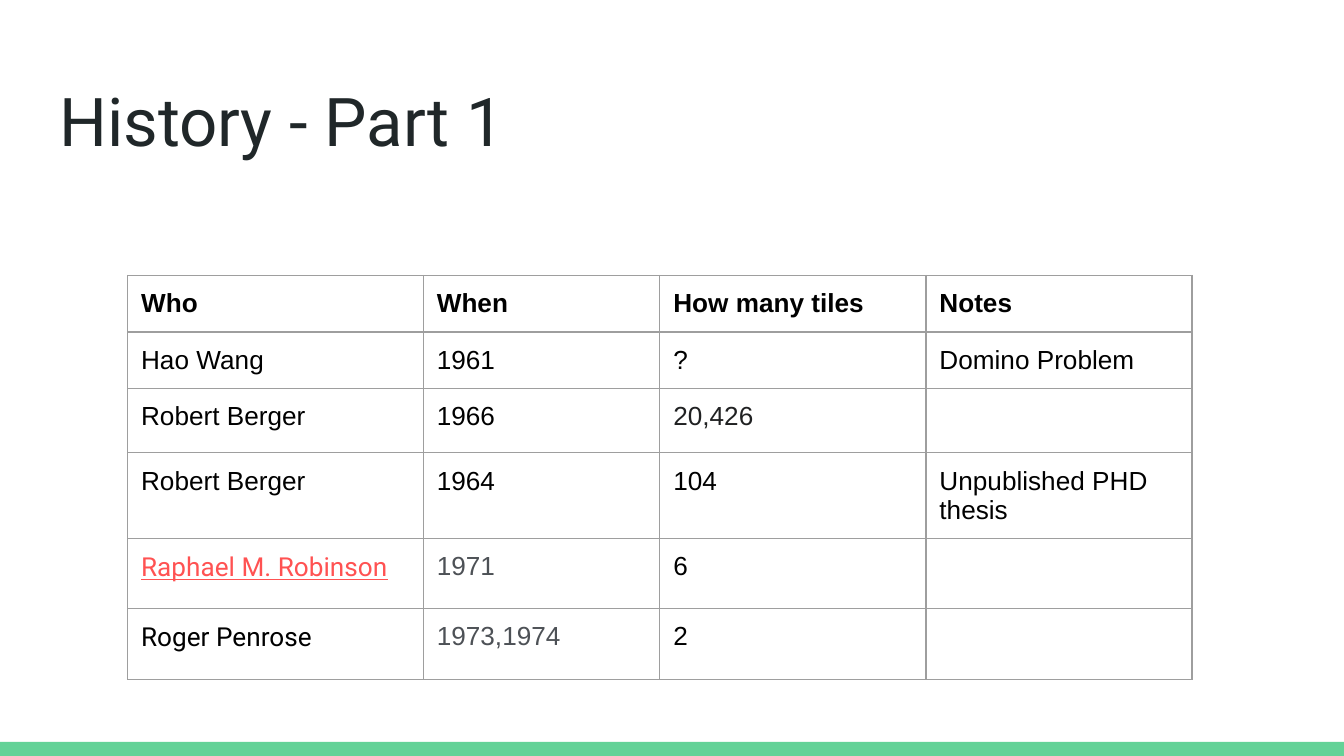
from dataclasses import dataclass

from pptx import Presentation
from pptx.dml.color import RGBColor
from pptx.enum.shapes import MSO_SHAPE
from pptx.enum.text import MSO_ANCHOR, MSO_AUTO_SIZE, PP_ALIGN
from pptx.oxml import parse_xml
from pptx.oxml.ns import nsdecls
from pptx.util import Inches, Pt


@dataclass(frozen=True)
class Theme:
    heading_font: str = "Roboto"
    body_font: str = "Arial"
    title_size: int = 36
    table_size: int = 14
    border_width: float = 0.75
    background: str = "FFFFFF"
    title: str = "202729"
    text: str = "000000"
    number: str = "202122"
    muted: str = "4D5156"
    link: str = "FF5252"
    border: str = "9E9E9E"
    accent: str = "63D297"


THEME = Theme()
COLUMN_WIDTHS = [2.2, 1.76, 1.98, 1.98]
ROW_HEIGHTS = [0.42, 0.42, 0.48, 0.64, 0.52, 0.53]
HISTORY = [
    ["Who", "When", "How many tiles", "Notes"],
    ["Hao Wang", "1961", "?", "Domino Problem"],
    ["Robert Berger", "1966", "20,426", ""],
    ["Robert Berger", "1964", "104", "Unpublished PHD thesis"],
    ["Raphael M. Robinson", "1971", "6", ""],
    ["Roger Penrose", "1973,1974", "2", ""],
]
CELL_COLORS = {
    "20,426": THEME.number,
    "Raphael M. Robinson": THEME.link,
    "1971": THEME.muted,
    "1973,1974": THEME.muted,
}
HEADING_FONT_NAMES = {"Raphael M. Robinson", "Roger Penrose"}


def style_font(font, name, size, color, bold=False, underline=False):
    font.name = name
    font.size = Pt(size)
    font.color.rgb = RGBColor.from_string(color)
    font.bold = bold
    font.underline = underline


def set_margins(holder):
    holder.margin_left = holder.margin_right = Inches(0.1)
    holder.margin_top = holder.margin_bottom = Inches(0.1)
    holder.vertical_anchor = MSO_ANCHOR.TOP


def add_title(slide, text, left, top, width, height):
    title = slide.shapes.title
    title.left, title.top = Inches(left), Inches(top)
    title.width, title.height = Inches(width), Inches(height)
    frame = title.text_frame
    frame.text = text
    frame.word_wrap = True
    frame.auto_size = MSO_AUTO_SIZE.NONE
    set_margins(frame)
    paragraph = frame.paragraphs[0]
    paragraph.alignment = PP_ALIGN.LEFT
    paragraph.line_spacing = 1.0
    style_font(paragraph.runs[0].font, THEME.heading_font, THEME.title_size, THEME.title)


def add_borders(cell):
    properties = cell._tc.get_or_add_tcPr()
    for position, side in enumerate(("lnL", "lnR", "lnT", "lnB")):
        border = parse_xml(
            f'<a:{side} {nsdecls("a")} w="{Pt(THEME.border_width)}"><a:solidFill>'
            f'<a:srgbClr val="{THEME.border}"/></a:solidFill></a:{side}>'
        )
        properties.insert(position, border)


def fill_cell(cell, text, is_header):
    cell.fill.solid()
    cell.fill.fore_color.rgb = RGBColor.from_string(THEME.background)
    set_margins(cell)
    add_borders(cell)
    cell.text_frame.text = text
    paragraph = cell.text_frame.paragraphs[0]
    if not text:
        size = Pt(THEME.table_size).centipoints
        paragraph._p.append(parse_xml(f'<a:endParaRPr {nsdecls("a")} sz="{size}"/>'))
    color = CELL_COLORS.get(text, THEME.text)
    name = THEME.heading_font if text in HEADING_FONT_NAMES else THEME.body_font
    for run in paragraph.runs:
        style_font(run.font, name, THEME.table_size, color, is_header, color == THEME.link)


def add_history_table(slide, left, top):
    shape = slide.shapes.add_table(
        len(HISTORY), len(COLUMN_WIDTHS), Inches(left), Inches(top),
        Inches(sum(COLUMN_WIDTHS)), Inches(sum(ROW_HEIGHTS)),
    )
    table = shape.table
    table.horz_banding = False
    for column, width in zip(table.columns, COLUMN_WIDTHS):
        column.width = Inches(width)
    for row_index, (row, height) in enumerate(zip(table.rows, ROW_HEIGHTS)):
        row.height = Inches(height)
        for cell, text in zip(row.cells, HISTORY[row_index]):
            fill_cell(cell, text, row_index == 0)


def add_footer_bar(slide, left, top, width, height):
    bar = slide.shapes.add_shape(
        MSO_SHAPE.RECTANGLE, Inches(left), Inches(top), Inches(width), Inches(height)
    )
    bar.shadow.inherit = False
    bar.fill.solid()
    bar.fill.fore_color.rgb = RGBColor.from_string(THEME.accent)
    bar.line.fill.background()


def main():
    presentation = Presentation()
    presentation.slide_width = Inches(10)
    presentation.slide_height = presentation.slide_width * 9 // 16
    slide = presentation.slides.add_slide(presentation.slide_layouts[5])
    slide.background.fill.solid()
    slide.background.fill.fore_color.rgb = RGBColor.from_string(THEME.background)
    add_footer_bar(slide, 0, 5.52, 10, 0.11)
    add_title(slide, "History - Part 1", 0.34, 0.49, 9.32, 0.63)
    add_history_table(slide, 0.95, 2.05)
    presentation.save("out.pptx")


if __name__ == "__main__":
    main()
